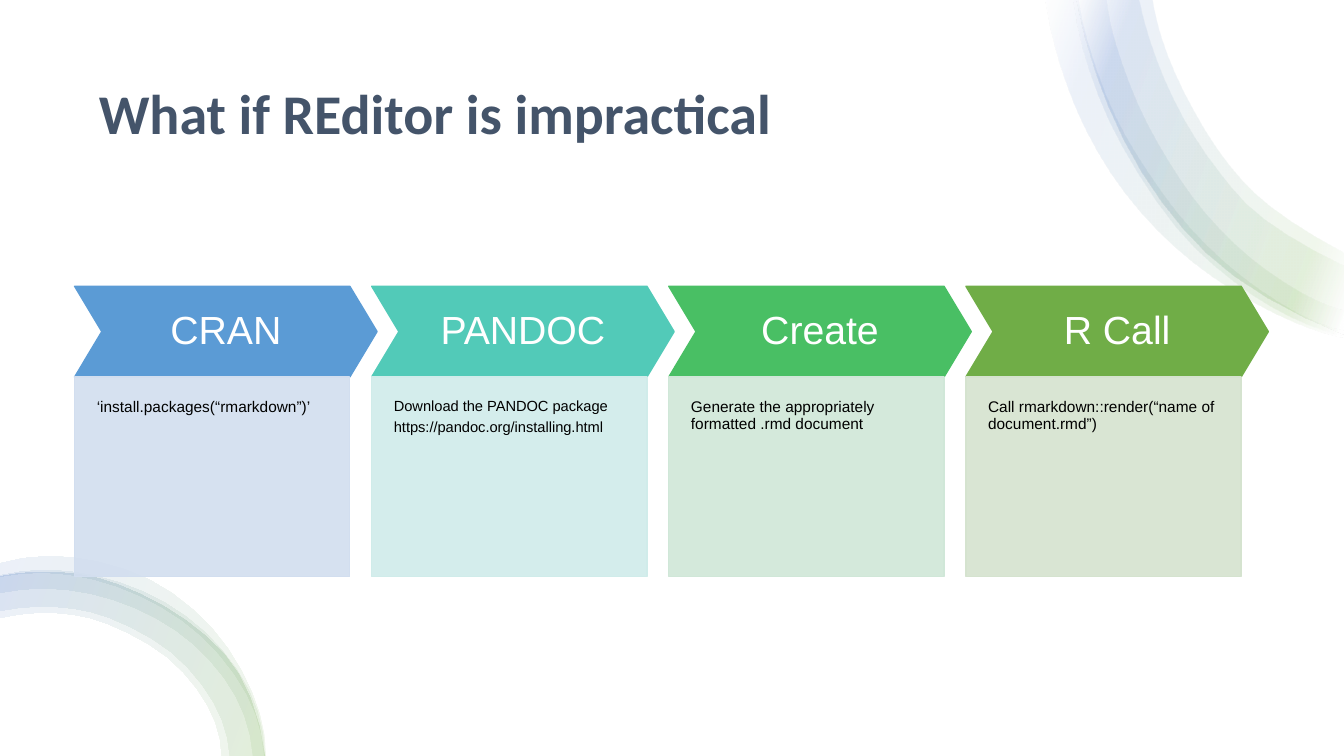
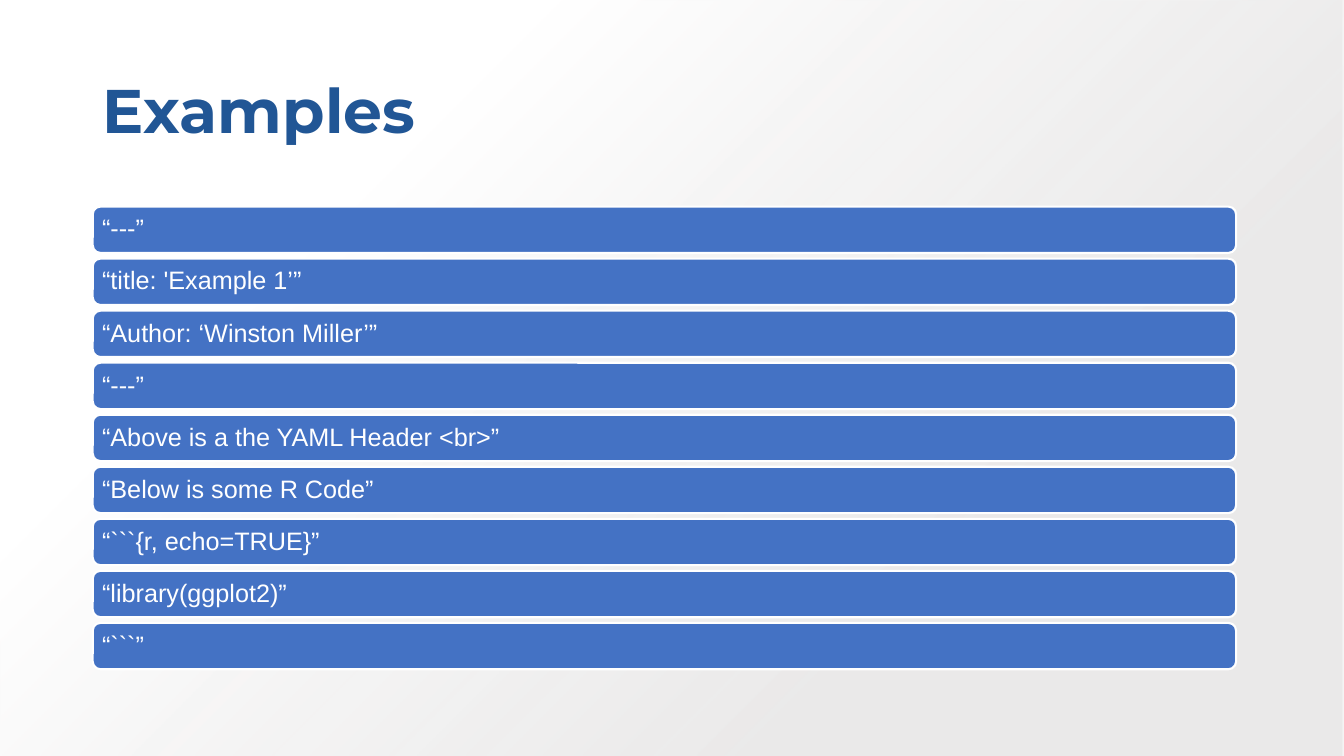
from pptx import Presentation
from pptx.dml.color import RGBColor
from pptx.enum.shapes import MSO_SHAPE
from pptx.enum.text import MSO_ANCHOR, PP_ALIGN
from pptx.oxml import parse_xml
from pptx.oxml.ns import nsdecls, qn
from pptx.util import Inches, Pt

CHEVRON, RECT, ROUNDED = MSO_SHAPE.CHEVRON, MSO_SHAPE.RECTANGLE, MSO_SHAPE.ROUNDED_RECTANGLE
TOP, MIDDLE = MSO_ANCHOR.TOP, MSO_ANCHOR.MIDDLE
LEFT, CENTER = PP_ALIGN.LEFT, PP_ALIGN.CENTER

WHITE = RGBColor(0xFF, 0xFF, 0xFF)
BLACK = RGBColor(0x00, 0x00, 0x00)
SLATE = RGBColor(0x44, 0x54, 0x6A)
NAVY = RGBColor(0x21, 0x56, 0x95)
BLUE = RGBColor(0x44, 0x72, 0xC4)
GREEN = RGBColor(0x70, 0xAD, 0x47)
SILVER = RGBColor(0xE7, 0xE6, 0xE6)
SKY = RGBColor(0x5B, 0x9B, 0xD5)
TEAL = RGBColor(0x52, 0xCA, 0xB8)
EMERALD = RGBColor(0x49, 0xBF, 0x64)
PALE_SKY = RGBColor(0xD2, 0xDE, 0xEF)
PALE_TEAL = RGBColor(0xD0, 0xEC, 0xEA)
PALE_EMERALD = RGBColor(0xD0, 0xE7, 0xD8)
PALE_GREEN = RGBColor(0xD5, 0xE3, 0xCF)

SLIDE_W, SLIDE_H = 13.33, 7.5
TITLE_ONLY = 5
BODY_FONT = "Arial"
FOOT_STOPS = [(0, GREEN, 10), (100, BLUE, 10)]
CORNER_STOPS = [(2, WHITE, 10), (16, GREEN, 10), (85, BLUE, 10), (100, WHITE, 10)]
RIBBON_DIRECTION = '<a:lin ang="12000000" scaled="0"/>'
BACKDROP_STOPS = [(28, SILVER, 84), (74, WHITE, 100)]
BACKDROP_DIRECTION = '<a:path path="circle"><a:fillToRect l="100000" t="100000"/></a:path>'

CORNER_OUTER = [(10.68, 0), (11, 1.07), (11.52, 2), (12.24, 2.74), (13.33, 3.32)]
CORNER_RIBBONS = [
    ([(10.37, 0), (10.52, 0.66), (10.78, 1.31), (11.16, 1.92), (11.65, 2.45), (12.21, 2.87), (12.82, 3.19),
      (13.33, 3.35)],
     [(10.7, 0), (10.82, 0.52), (11.06, 1.15), (11.4, 1.73), (11.81, 2.27), (12.3, 2.73), (12.86, 3.1),
      (13.33, 3.28)]),
    (CORNER_OUTER, [(11.43, 0), (11.58, 0.55), (11.85, 1.12), (12.19, 1.64), (12.61, 2.06), (13.33, 2.51)]),
    ([(10.65, 0), (10.81, 0.71), (11.13, 1.45), (11.66, 2.25), (12.23, 2.79), (12.79, 3.14), (13.33, 3.33)],
     [(10.98, 0), (11.07, 0.44), (11.29, 1.04), (11.59, 1.6), (11.95, 2.11), (12.39, 2.55), (12.9, 2.9),
      (13.33, 3.08)]),
    (CORNER_OUTER, [(11.3, 0), (11.47, 0.59), (11.74, 1.18), (12.1, 1.72), (12.53, 2.17), (13.33, 2.64)]),
]
FOOT_OUTER = [(0, 5.72), (0.59, 5.68), (1.17, 5.8), (1.85, 6.16), (2.37, 6.69), (2.63, 7.5)]
FOOT_RIBBONS = [
    (FOOT_OUTER, [(0, 6.13), (0.55, 6.08), (1.07, 6.19), (1.66, 6.52), (2.06, 7), (2.2, 7.5)]),
    (FOOT_OUTER, [(0, 6.06), (0.55, 6.02), (1.09, 6.13), (1.7, 6.47), (2.12, 6.97), (2.28, 7.5)]),
    ([(0, 5.71), (0.69, 5.67), (1.42, 5.87), (2.03, 6.27), (2.47, 6.85), (2.63, 7.5)],
     [(0, 5.88), (0.67, 5.85), (1.34, 6.03), (1.92, 6.39), (2.34, 6.91), (2.51, 7.5)]),
    ([(0, 5.59), (0.71, 5.53), (1.48, 5.75), (2.1, 6.23), (2.5, 6.87), (2.64, 7.5)],
     [(0, 5.72), (0.69, 5.7), (1.39, 5.91), (2, 6.31), (2.45, 6.89), (2.62, 7.5)]),
]

STEPS = [
    ("CRAN", ["‘install.packages(“rmarkdown”)’"], 11, SKY, PALE_SKY),
    ("PANDOC", ["Download the PANDOC package", "https://pandoc.org/installing.html"], 10.5, TEAL, PALE_TEAL),
    ("Create", ["Generate the appropriately formatted .rmd document"], 11, EMERALD, PALE_EMERALD),
    ("R Call", ["Call rmarkdown::render(“name of document.rmd”)"], 11, GREEN, PALE_GREEN),
]
CODE_LINES = [
    "“---”",
    "“title: 'Example 1’”",
    "“Author: ‘Winston Miller’”",
    "“---”",
    "“Above is a the YAML Header <br>”",
    "“Below is some R Code”",
    "“```{r, echo=TRUE}”",
    "“library(ggplot2)”",
    "“```”",
]


def write(shape, lines, *, size, color, font=BODY_FONT, bold=False, align=LEFT,
          anchor=MIDDLE, insets=(0.1, 0.05, 0.1, 0.05), after=0.35):
    """Fill a shape with formatted paragraphs, one for each line."""
    frame = shape.text_frame
    frame.word_wrap = True
    frame.vertical_anchor = anchor
    (frame.margin_left, frame.margin_top,
     frame.margin_right, frame.margin_bottom) = map(Inches, insets)
    for index, line in enumerate(lines):
        paragraph = frame.add_paragraph() if index else frame.paragraphs[0]
        paragraph.alignment = align
        paragraph.line_spacing = 0.9
        paragraph.space_after = Pt(round(size * after, 1))
        run = paragraph.add_run()
        run.text = line
        run.font.name = font
        run.font.size = Pt(size)
        run.font.bold = bold
        run.font.color.rgb = color


def add_panel(slide, kind, box, fill, *, line=None, line_width=1):
    """Add a flat preset shape in the given box."""
    panel = slide.shapes.add_shape(kind, *map(Inches, box))
    panel.shadow.inherit = False
    panel.fill.solid()
    panel.fill.fore_color.rgb = fill
    panel.line.color.rgb = line or fill
    panel.line.width = Pt(line_width)
    return panel


def alpha_tag(percent):
    """Return the opacity element for a colour."""
    return f'<a:alpha {nsdecls("a")} val="{percent * 1000}"/>'


def set_gradient(shape, stops, direction):
    """Give a shape a gradient with opacity at each stop."""
    shape.fill.solid()
    marks = "".join(
        f'<a:gs pos="{position * 1000}"><a:srgbClr val="{color}">{alpha_tag(alpha)}</a:srgbClr></a:gs>'
        for position, color, alpha in stops)
    gradient = parse_xml(
        f'<a:gradFill {nsdecls("a")} rotWithShape="1"><a:gsLst>{marks}</a:gsLst>{direction}</a:gradFill>')
    properties = shape.element.spPr
    properties.replace(properties.find(qn("a:solidFill")), gradient)


def set_opacity(shape, percent):
    """Make the solid fill of a shape partly transparent."""
    shape.element.spPr.find(qn("a:solidFill"))[0].append(parse_xml(alpha_tag(percent)))


def beyond(first, second, third):
    """Return the point that continues a curve before its first knot."""
    return tuple(3 * p - 3 * q + r for p, q, r in zip(first, second, third))


def smooth(knots, parts=3):
    """Return points on a Catmull-Rom curve through the knots."""
    padded = [beyond(*knots[:3]), *knots, beyond(*knots[:-4:-1])]
    points = []
    for a, b, c, d in zip(padded, padded[1:], padded[2:], padded[3:]):
        for step in range(parts):
            t = step / parts
            points.append(tuple(
                (2 * q + (r - p) * t + (2 * p - 5 * q + 4 * r - s) * t ** 2
                 + (3 * q - p - 3 * r + s) * t ** 3) / 2
                for p, q, r, s in zip(a, b, c, d)))
    return points + [knots[-1]]


def add_ribbons(slide, ribbons, stops):
    """Add translucent ribbons, each between two curved edges."""
    for outer, inner in ribbons:
        outline = [(Inches(x), Inches(y)) for x, y in smooth(outer) + smooth(inner)[::-1]]
        builder = slide.shapes.build_freeform(*outline[0])
        builder.add_line_segments(outline[1:], close=True)
        ribbon = builder.convert_to_shape()
        ribbon.shadow.inherit = False
        ribbon.line.fill.background()
        set_gradient(ribbon, stops, RIBBON_DIRECTION)


def add_titled_slide(deck, title, box, **style):
    """Add a slide with a title in the given box and return it with its backdrop."""
    slide = deck.slides.add_slide(deck.slide_layouts[TITLE_ONLY])
    heading = slide.shapes.title
    heading.left, heading.top, heading.width, heading.height = map(Inches, box)
    write(heading, [title], bold=True, after=0, **style)
    backdrop = add_panel(slide, RECT, (0, 0, SLIDE_W, SLIDE_H), WHITE)
    backdrop.line.fill.background()
    heading.element.addprevious(backdrop.element)
    return slide, backdrop


def add_steps(slide, left, top, width):
    """Add a row of chevrons, each with a card below it."""
    chevron_w, head_h, card_w, card_h = 3, 0.9, 2.73, 1.98
    pitch = (width - chevron_w) / (len(STEPS) - 1)
    for index, (name, details, size, strong, pale) in enumerate(STEPS):
        x = left + index * pitch
        head = add_panel(slide, CHEVRON, (x, top, chevron_w, head_h), strong)
        head.adjustments[0] = 0.3
        write(head, [name], size=28, color=WHITE, align=CENTER, insets=(0.11,) * 4)
        card = add_panel(slide, RECT, (x, top + head_h, card_w, card_h), pale)
        set_opacity(card, 90)
        write(card, details, size=size, color=BLACK, anchor=TOP,
              insets=(0.22, 0.22, 0.22, 0.43))


def add_code_rows(slide, left, top, width, height):
    """Stack the code lines as evenly spaced bars."""
    row_h = 0.46
    pitch = (height - row_h) / (len(CODE_LINES) - 1)
    for index, code in enumerate(CODE_LINES):
        row = add_panel(slide, ROUNDED, (left, top + index * pitch, width, row_h),
                        BLUE, line=WHITE, line_width=1.5)
        write(row, [code], size=18, color=WHITE, insets=(0.07,) * 4)


def build_steps_slide(deck):
    """Build the slide with four steps and corner ribbons."""
    slide, _ = add_titled_slide(deck, "What if REditor is impractical", (0.88, 0.5, 11.57, 1.3),
                                size=40, font="Calibri", color=SLATE)
    add_ribbons(slide, CORNER_RIBBONS, CORNER_STOPS)
    add_ribbons(slide, FOOT_RIBBONS, FOOT_STOPS)
    add_steps(slide, 0.74, 2.84, 11.84)


def build_examples_slide(deck):
    """Build the slide with the example document."""
    slide, backdrop = add_titled_slide(deck, "Examples", (0.92, 0.4, 11.5, 1.45),
                                       size=44, font="Montserrat", color=NAVY)
    set_gradient(backdrop, BACKDROP_STOPS, BACKDROP_DIRECTION)
    add_code_rows(slide, 0.92, 2.05, 11.34, 4.59)


def main():
    """Build and save the deck."""
    deck = Presentation()
    deck.slide_width, deck.slide_height = Inches(SLIDE_W), Inches(SLIDE_H)
    build_steps_slide(deck)
    build_examples_slide(deck)
    deck.save("out.pptx")


if __name__ == "__main__":
    main()
